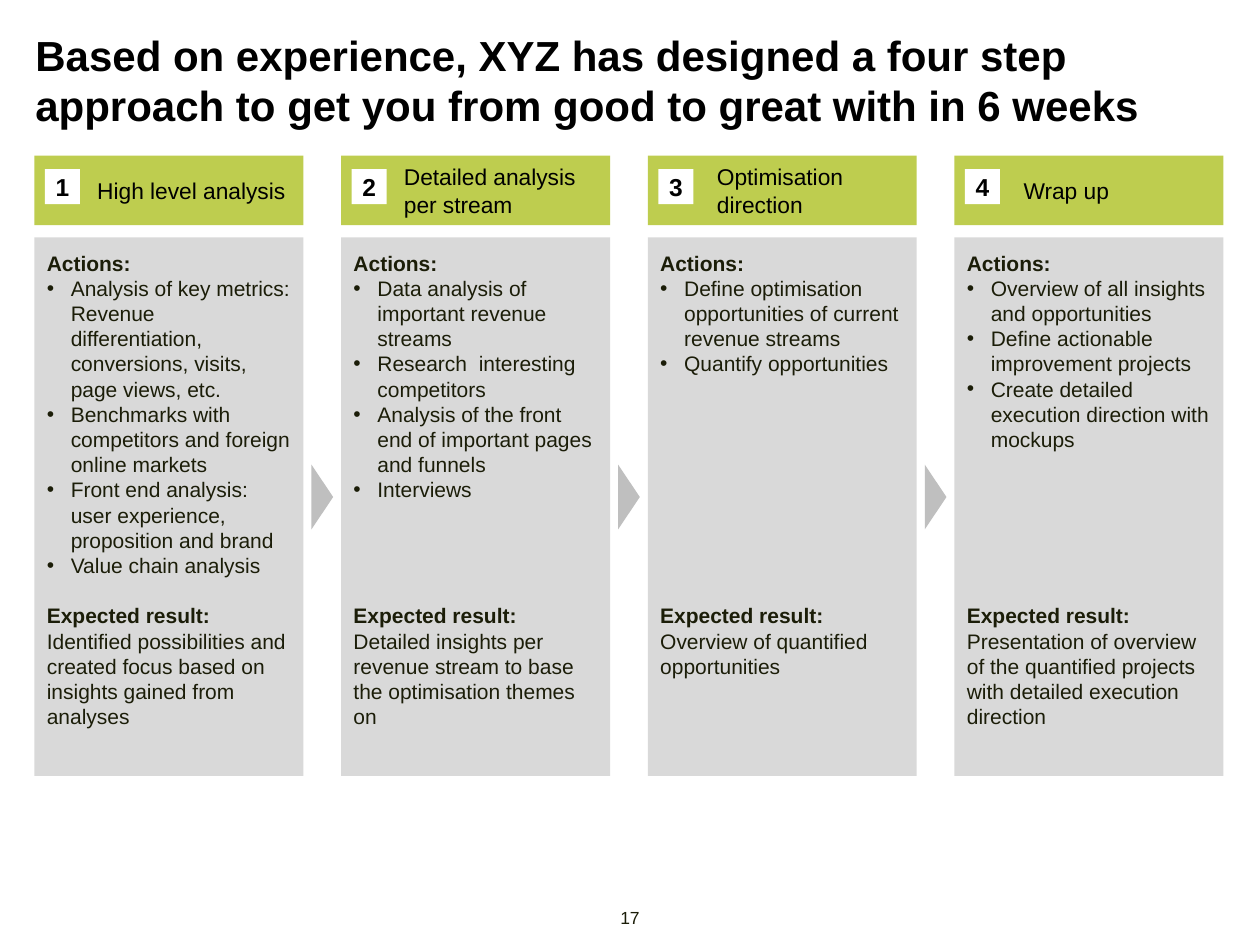
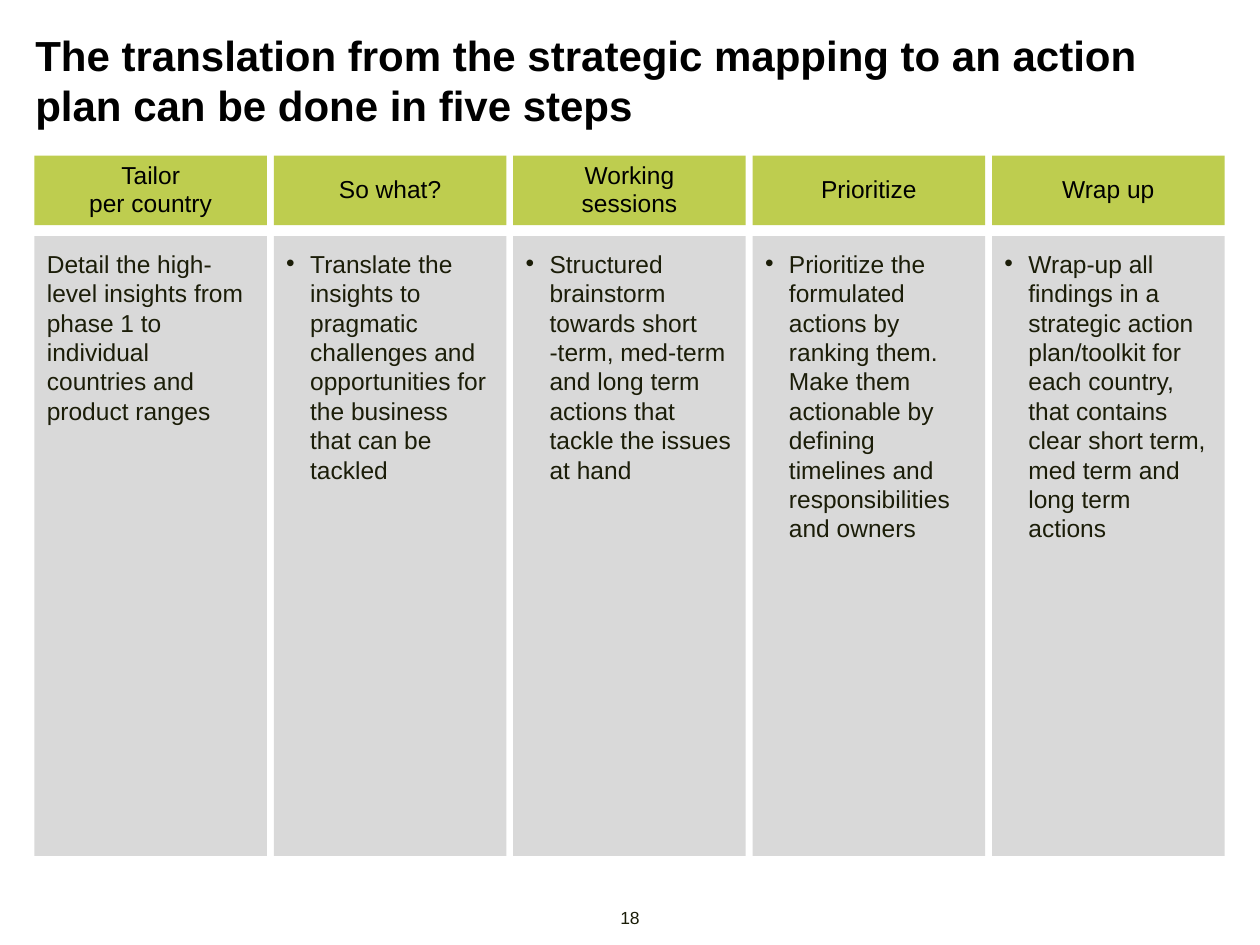
from dataclasses import dataclass

from lxml.etree import SubElement
from pptx import Presentation
from pptx.dml.color import RGBColor
from pptx.enum.shapes import MSO_SHAPE
from pptx.enum.text import MSO_ANCHOR, PP_ALIGN
from pptx.oxml.ns import qn
from pptx.util import Pt


@dataclass(frozen=True)
class Theme:
    font: str = "Arial"
    black: str = "000000"
    ink: str = "1B1D08"
    white: str = "FFFFFF"
    lime: str = "BECD4F"
    panel: str = "D9D9D9"
    arrow: str = "BFBFBF"
    title_size: float = 24
    large_size: float = 14
    header_size: float = 13
    body_size: float = 12
    page_size: float = 10
    body_line: float = 14.4


theme = Theme()


def add_box(slide, left, top, width, height, fill=None,
            shape=MSO_SHAPE.RECTANGLE, margins=(0, 0), anchor=MSO_ANCHOR.TOP):
    """Add a filled shape, or a text box when there is no fill; margins are (sides, top and bottom)."""
    rect = Pt(left), Pt(top), Pt(width), Pt(height)
    if fill:
        sp = slide.shapes.add_shape(shape, *rect)
        sp.shadow.inherit = False
        sp.fill.solid()
        sp.fill.fore_color.rgb = RGBColor.from_string(fill)
        sp.line.fill.background()
    else:
        sp = slide.shapes.add_textbox(*rect)
    tf = sp.text_frame
    tf.word_wrap = True
    tf.vertical_anchor = anchor
    tf.margin_left = tf.margin_right = Pt(margins[0])
    tf.margin_top = tf.margin_bottom = Pt(margins[1])
    return sp


def add_text(sp, text, size, color=theme.ink, bold=False, align=PP_ALIGN.LEFT,
             before=0, spacing=None, indent=0, bullet=False):
    """Write one paragraph into the shape, after any it already holds."""
    tf = sp.text_frame
    p = tf.add_paragraph() if tf.text else tf.paragraphs[0]
    p.text = text
    p.alignment = align
    p.space_before = Pt(before)
    if spacing:
        p.line_spacing = spacing
    pPr = p._p.get_or_add_pPr()
    if bullet:
        indent = 13.7
        pPr.set("indent", str(-Pt(indent)))
        SubElement(pPr, qn("a:buFont"), typeface=theme.font)
        SubElement(pPr, qn("a:buChar"), char="•")
    pPr.set("marL", str(Pt(indent)))
    for r in p.runs:
        r.font.name = theme.font
        r.font.size = Pt(size)
        r.font.bold = bold
        r.font.color.rgb = RGBColor.from_string(color)


prs = Presentation()
prs.slide_width, prs.slide_height = Pt(720), Pt(540)

# What both slides share: title, page number and the header row
titles = {
    17: "Based on experience, XYZ has designed a four step approach to get you "
        "from good to great with in 6 weeks",
    18: "The translation from the strategic mapping to an action plan can be done in five steps",
}
slides = []
for number, title in titles.items():
    s = prs.slides.add_slide(prs.slide_layouts[6])
    add_text(add_box(s, 20.2, 16.6, 680, 58.3), title, theme.title_size,
             color=theme.black, bold=True)
    add_text(add_box(s, 349.2, 518.4, 21.6, 12.2), str(number), theme.page_size,
             align=PP_ALIGN.CENTER)
    slides.append(s)
approach, action_plan = slides

LEFT = 19.7
HEADER_TOP, HEADER_HEIGHT = 88.9, 39.7

# Four step approach: header, header indent, actions, lines before the result, result
phases = [
    ("High level analysis", 28.8,
     ["Analysis of key metrics: Revenue differentiation, conversions, visits, page views, etc.",
      "Benchmarks with competitors and foreign online markets",
      "Front end analysis: user experience, proposition and brand",
      "Value chain analysis"], 1,
     "Identified possibilities and created focus based on insights gained from analyses"),
    ("Detailed analysis per stream", 28.8,
     ["Data analysis of important revenue streams",
      "Research  interesting competitors",
      "Analysis of the front end of important pages and funnels",
      "Interviews"], 4,
     "Detailed insights per revenue stream to base the optimisation themes on"),
    ("Optimisation\ndirection", 32.4,
     ["Define optimisation opportunities of current revenue streams",
      "Quantify opportunities"], 9,
     "Overview of quantified opportunities"),
    ("Wrap up", 32.4,
     ["Overview of all insights and opportunities",
      "Define actionable improvement projects",
      "Create detailed execution direction with mockups"], 6,
     "Presentation of overview of the quantified projects with detailed execution direction"),
]
PHASE_WIDTH, PHASE_PITCH = 153.7, 175.25
BADGE = 20
ARROW_WIDTH, ARROW_HEIGHT, ARROW_MIDDLE = 36.9, 12.4, 284

for i, (header, indent, actions, gap_lines, result) in enumerate(phases):
    x = LEFT + i * PHASE_PITCH
    sp = add_box(approach, x, HEADER_TOP, PHASE_WIDTH, HEADER_HEIGHT, theme.lime,
                 margins=(7.2, 1.4), anchor=MSO_ANCHOR.MIDDLE)
    add_text(sp, header, theme.header_size, color=theme.black, before=3, indent=indent)

    sp = add_box(approach, x + 6, 96.7, BADGE, BADGE, theme.white, anchor=MSO_ANCHOR.MIDDLE)
    add_text(sp, str(i + 1), theme.large_size, color=theme.black, bold=True,
             align=PP_ALIGN.CENTER)

    sp = add_box(approach, x, 135.7, PHASE_WIDTH, 307.7, theme.panel, margins=(7.2, 7.2))
    add_text(sp, "Actions:", theme.body_size, bold=True)
    for action in actions:
        add_text(sp, action, theme.body_size, bullet=True)
    add_text(sp, "Expected result:", theme.body_size, bold=True,
             before=gap_lines * theme.body_line)
    add_text(sp, result, theme.body_size)

    if i:
        middle = x - (PHASE_PITCH - PHASE_WIDTH) / 2
        sp = add_box(approach, middle - ARROW_WIDTH / 2, ARROW_MIDDLE - ARROW_HEIGHT / 2,
                     ARROW_WIDTH, ARROW_HEIGHT, theme.arrow, MSO_SHAPE.FLOWCHART_MERGE)
        sp.rotation = 270

# Five steps to an action plan: header, description, bulleted or not
steps = [
    ("Tailor\nper country",
     "Detail the high- level insights from phase 1 to individual countries and product ranges",
     False),
    ("So what?",
     "Translate the insights to pragmatic challenges and opportunities for the business "
     "that can be tackled", True),
    ("Working\nsessions",
     "Structured brainstorm towards short -term, med-term and long term actions that "
     "tackle the issues at hand", True),
    ("Prioritize",
     "Prioritize the formulated actions by ranking them. Make them actionable by defining "
     "timelines and responsibilities and owners", True),
    ("Wrap up",
     "Wrap-up all findings in a strategic action plan/toolkit for each country, that "
     "contains clear short term, med term and long term actions", True),
]
STEP_WIDTH, STEP_PITCH = 132.9, 136.8

for i, (header, description, bulleted) in enumerate(steps):
    x = LEFT + i * STEP_PITCH
    sp = add_box(action_plan, x, HEADER_TOP, STEP_WIDTH, HEADER_HEIGHT, theme.lime,
                 margins=(4.3, 4.3), anchor=MSO_ANCHOR.MIDDLE)
    add_text(sp, header, theme.large_size, color=theme.black, align=PP_ALIGN.CENTER,
             before=3, spacing=0.95)
    sp = add_box(action_plan, x, 134.9, STEP_WIDTH, 354.2, theme.panel, margins=(7.2, 7.2))
    add_text(sp, description, theme.large_size, bullet=bulleted)

prs.save("out.pptx")
